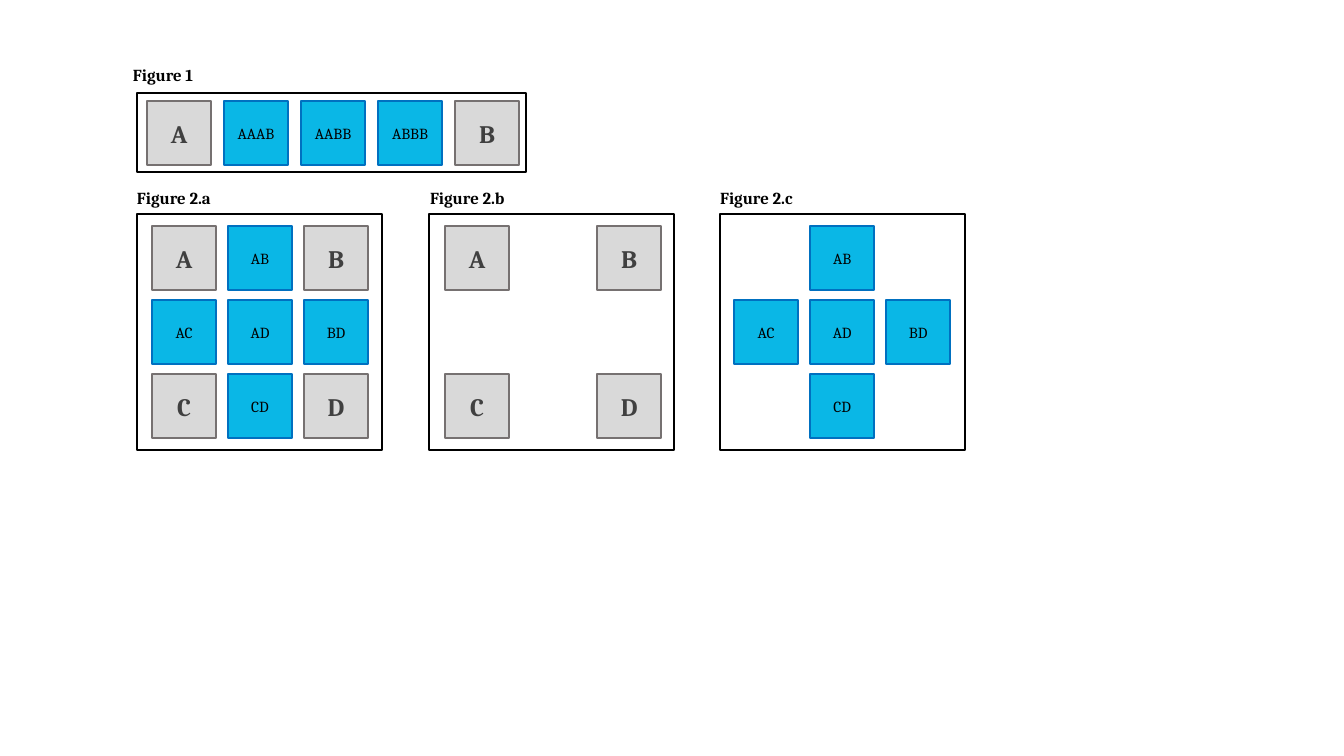
from pptx import Presentation
from pptx.dml.color import RGBColor
from pptx.enum.shapes import MSO_SHAPE
from pptx.enum.text import MSO_ANCHOR, PP_ALIGN
from pptx.util import Emu, Inches, Pt

FIGURES = [
    {"name": "Figure 1", "frame": (137, 93, 389, 79), "label": (123, 60),
     "start": (147, 101), "step": (77, 0),
     "rows": [["A", "AAAB", "AABB", "ABBB", "B"]]},
    {"name": "Figure 2.a", "frame": (137, 214, 245, 236), "label": (127, 183),
     "start": (152, 226), "step": (76, 74),
     "rows": [["A", "AB", "B"], ["AC", "AD", "BD"], ["C", "CD", "D"]]},
    {"name": "Figure 2.b", "frame": (429, 214, 245, 236), "label": (420, 183),
     "start": (445, 226), "step": (76, 74),
     "rows": [["A", "", "B"], ["", "", ""], ["C", "", "D"]]},
    {"name": "Figure 2.c", "frame": (720, 214, 245, 236), "label": (710, 183),
     "start": (734, 226), "step": (76, 74),
     "rows": [["", "AB", ""], ["AC", "AD", "BD"], ["", "CD", ""]]},
]
COLORS = {"gray": "D9D9D9", "edge": "767171", "cyan": "0AB7E6",
          "blue": "0070C0", "dark": "404040", "black": "000000"}
CORNER = {"fill": "gray", "line": "edge", "width": 1.5,
          "size": 18, "ink": "dark", "bold": True}
BLEND = {"fill": "cyan", "line": "blue", "width": 1.25,
         "size": 11, "ink": "black", "bold": False}
TILE = 64
SCALE = Inches(1) / 100.8


def emu(*sizes):
    return [Emu(round(size * SCALE)) for size in sizes]


def color(name):
    return RGBColor.from_string(COLORS[name])


def write(shape, text, size, ink, bold, align):
    para = shape.text_frame.paragraphs[0]
    para.alignment = align
    run = para.add_run()
    run.text = text
    font = run.font
    font.name, font.size, font.bold = "Cambria", Pt(size), bold
    font.color.rgb = color(ink)


def add_box(box, line, width, fill=None):
    shape = slide.shapes.add_shape(MSO_SHAPE.RECTANGLE, *emu(*box))
    shape.shadow.inherit = False
    if fill:
        shape.fill.solid()
        shape.fill.fore_color.rgb = color(fill)
    else:
        shape.fill.background()
    shape.line.color.rgb = color(line)
    shape.line.width = Pt(width)
    return shape


def add_tile(text, left, top):
    style = CORNER if len(text) == 1 else BLEND
    tile = add_box((left, top, TILE, TILE), style["line"], style["width"],
                   style["fill"])
    frame = tile.text_frame
    frame.margin_left = frame.margin_right = 0
    frame.vertical_anchor = MSO_ANCHOR.MIDDLE
    write(tile, text, style["size"], style["ink"], style["bold"],
          PP_ALIGN.CENTER)


def add_label(text, left, top):
    label = slide.shapes.add_textbox(*emu(left, top, 218, 30))
    label.text_frame.word_wrap = True
    write(label, text, 12, "black", True, PP_ALIGN.LEFT)


deck = Presentation()
deck.slide_width, deck.slide_height = Inches(13.33), Inches(7.5)
slide = deck.slides.add_slide(deck.slide_layouts[6])

for figure in FIGURES:
    add_box(figure["frame"], "black", 1.5)
    add_label(figure["name"], *figure["label"])
    left, top = figure["start"]
    across, down = figure["step"]
    for row, names in enumerate(figure["rows"]):
        for col, name in enumerate(names):
            if name:
                add_tile(name, left + col * across, top + row * down)

deck.save("out.pptx")
